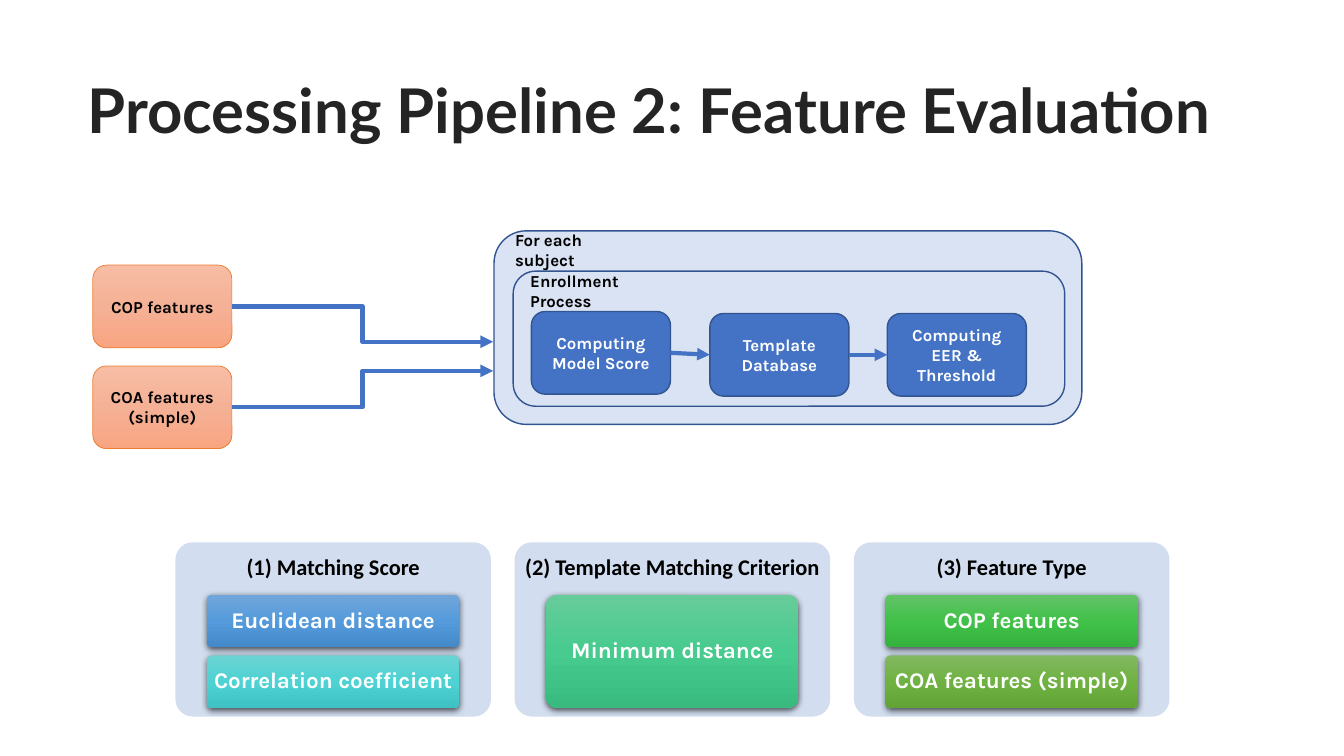
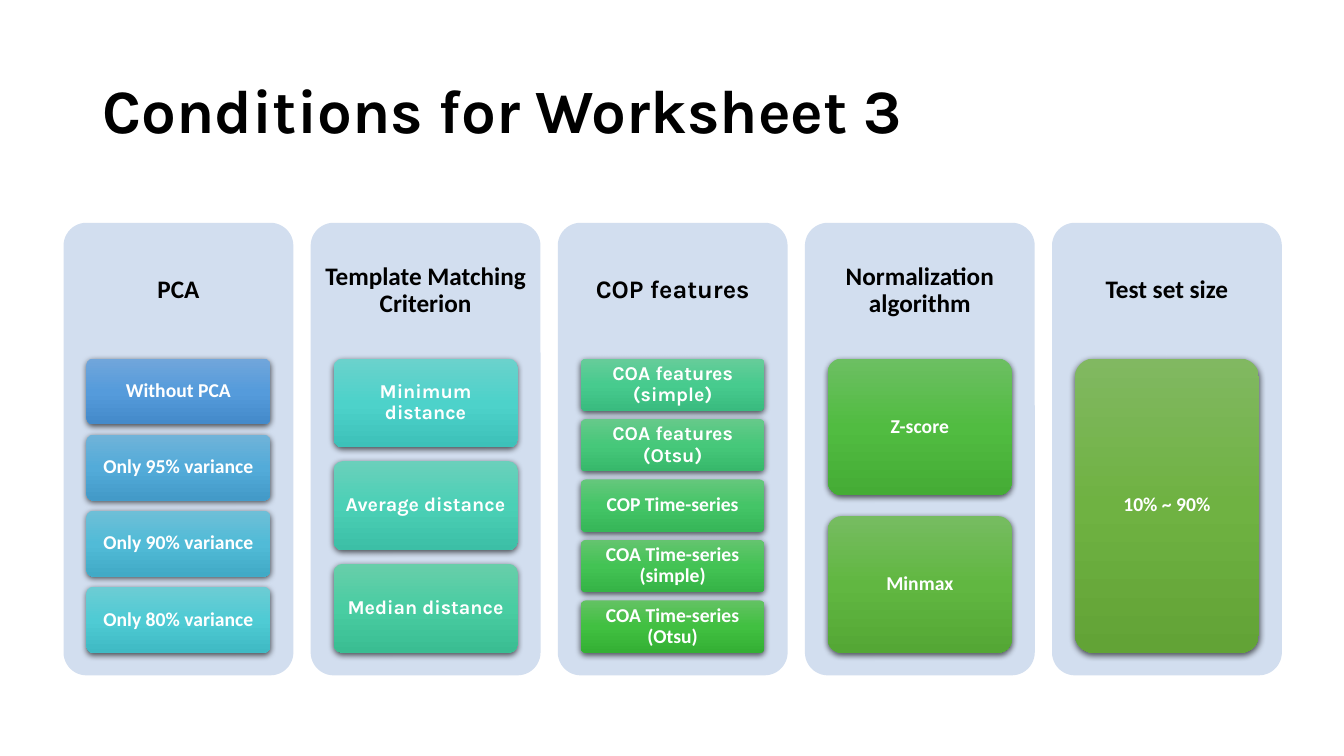
from lxml.etree import SubElement
from copy import deepcopy
from pptx import Presentation
from pptx.dml.color import RGBColor
from pptx.enum.shapes import MSO_CONNECTOR as CONNECTOR, MSO_SHAPE as SHAPE
from pptx.enum.text import MSO_ANCHOR as ANCHOR, PP_ALIGN as ALIGN
from pptx.oxml.ns import qn
from pptx.util import Inches, Pt

BLACK, WHITE = "000000", "FFFFFF"
BLUE, NAVY, PALE_BLUE, PANEL_BLUE = "4472C4", "325491", "DAE3F3", "D2DEEF"
ORANGE = "ED7D31"
PEACH_GRADIENT = ["F7BDA5", "F5B196", "F8A582"]
BLUE_GRADIENT = ["71A6DB", "559BDB", "448ACA"]
MINT_GRADIENT = ["67CC9A", "47CB8E", "39BB7F"]
OLIVE_GRADIENT = ["81B861", "6FB242", "62A336"]
KARLA, CALIBRI, LATO = "Karla", "Calibri", "Lato"


def add_box(slide, box, text="", fill=None, line=None, line_width=1, corner=None,
            shadow=False, font=KARLA, size=12, color=BLACK, align=ALIGN.CENTER,
            anchor=ANCHOR.MIDDLE, margins=(0.1, 0.05), spacing=1):
    """Add a rounded box, or a text box if there is no fill; a list of three colours is a gradient."""
    lengths = [Inches(value) for value in box]
    if fill is None:
        shape = slide.shapes.add_textbox(*lengths)
    else:
        shape = slide.shapes.add_shape(SHAPE.ROUNDED_RECTANGLE, *lengths)
        shape.shadow.inherit = False
        properties = shape.element.spPr
        if corner is not None:
            shape.adjustments[0] = corner
        if isinstance(fill, list):
            shape.fill.gradient()
            shape.fill.gradient_angle = 270
            stop_list = properties.find(".//" + qn("a:gsLst"))
            stop_list.insert(1, deepcopy(stop_list[0]))
            for stop, hex_color, position in zip(shape.fill.gradient_stops, fill, (0, 0.5, 1)):
                stop.color.rgb = RGBColor.from_string(hex_color)
                stop.position = position
        else:
            shape.fill.solid()
            shape.fill.fore_color.rgb = RGBColor.from_string(fill)
        if line:
            shape.line.color.rgb = RGBColor.from_string(line)
            shape.line.width = Pt(line_width)
        else:
            shape.line.fill.background()
        if shadow:
            outer = SubElement(properties.find(qn("a:effectLst")), qn("a:outerShdw"),
                               blurRad=str(Pt(4.5)), dist=str(Pt(1.5)), dir="5400000",
                               algn="ctr", rotWithShape="0")
            shade = SubElement(outer, qn("a:srgbClr"), val=BLACK)
            SubElement(shade, qn("a:alpha"), val="63000")
    if text:
        frame = shape.text_frame
        frame.word_wrap = True
        frame.vertical_anchor = anchor
        frame.margin_left = frame.margin_right = Inches(margins[0])
        frame.margin_top = frame.margin_bottom = Inches(margins[1])
        paragraph = frame.paragraphs[0]
        paragraph.alignment = align
        paragraph.line_spacing = spacing
        run = paragraph.add_run()
        run.text = text
        run.font.name, run.font.size, run.font.bold = font, Pt(size), True
        run.font.color.rgb = RGBColor.from_string(color)


def add_arrow(slide, kind, *ends):
    connector = slide.shapes.add_connector(kind, *[Inches(value) for value in ends])
    connector.line.color.rgb = RGBColor.from_string(BLUE)
    connector.line.width = Pt(3)
    SubElement(connector.line._get_or_add_ln(), qn("a:tailEnd"), type="triangle")
    SubElement(connector.element.spPr, qn("a:effectLst"))


presentation = Presentation()
presentation.slide_width = Inches(13.33)
presentation.slide_height = Inches(7.5)
blank = presentation.slide_layouts[6]
pipeline = presentation.slides.add_slide(blank)
conditions = presentation.slides.add_slide(blank)

# Titles
for slide, left, width, text, font, color in [
    (pipeline, 0.77, 12.06, "Processing Pipeline 2: Feature Evaluation", LATO, "242424"),
    (conditions, 0.92, 11.5, "Conditions for Worksheet 3", KARLA, BLACK),
]:
    add_box(slide, (left, 0.4, width, 1.45), text, font=font, size=44, color=color,
            align=ALIGN.LEFT, spacing=0.9)

# Pipeline: nested frames, features on the left, steps inside
for frame_box, label_box, label in [
    ((4.9, 2.29, 5.83, 1.92), (5.01, 2.23, 1.48, 0.3), "For each subject"),
    ((5.09, 2.69, 5.47, 1.34), (5.16, 2.64, 1.71, 0.3), "Enrollment Process"),
]:
    add_box(pipeline, frame_box, fill=PALE_BLUE, line=NAVY)
    add_box(pipeline, label_box, label, align=ALIGN.LEFT, anchor=ANCHOR.TOP)

node_width, node_height = 1.38, 0.82
for text, top, target in [("COP features", 2.63, 3.39), ("COA features (simple)", 3.63, 3.68)]:
    add_box(pipeline, (0.92, top, node_width, node_height), text,
            fill=PEACH_GRADIENT, line=ORANGE, line_width=0.5)
    add_arrow(pipeline, CONNECTOR.ELBOW, 0.92 + node_width, top + node_height / 2, 4.89, target)

steps = [
    ("Computing Model Score", 5.27, 3.09),
    ("Template Database", 7.04, 3.11),
    ("Computing EER & Threshold", 8.8, 3.11),
]
for text, left, top in steps:
    add_box(pipeline, (left, top, node_width, node_height), text,
            fill=BLUE, line=NAVY, color=WHITE)
for (_, left, top), (_, next_left, next_top) in zip(steps, steps[1:]):
    add_arrow(pipeline, CONNECTOR.STRAIGHT, left + node_width, top + node_height / 2,
              next_left, next_top + node_height / 2)

# Panels: (heading, heading font, tiles), each tile (text, font, gradient)
pipeline_panels = [
    ("(1) Matching Score", CALIBRI, [
        ("Euclidean distance", KARLA, BLUE_GRADIENT),
        ("Correlation coefficient", KARLA, ["6CD3D3", "4ED2D3", "3EC2C3"]),
    ]),
    ("(2) Template Matching Criterion", CALIBRI, [
        ("Minimum distance", KARLA, MINT_GRADIENT),
    ]),
    ("(3) Feature Type", CALIBRI, [
        ("COP features", KARLA, ["63C368", "42C14A", "34B23D"]),
        ("COA features (simple)", KARLA, OLIVE_GRADIENT),
    ]),
]
condition_panels = [
    ("PCA", CALIBRI, [
        ("Without PCA", CALIBRI, BLUE_GRADIENT),
        ("Only 95% variance", CALIBRI, ["70B3D9", "53ABD9", "439AC8"]),
        ("Only 90% variance", CALIBRI, ["6EBFD7", "51BBD7", "41AAC6"]),
        ("Only 80% variance", CALIBRI, ["6DCCD4", "4FCBD4", "3FBAC4"]),
    ]),
    ("Template Matching Criterion", CALIBRI, [
        ("Minimum distance", KARLA, ["6BD2CC", "4DD2CA", "3DC1B9"]),
        ("Average distance", KARLA, ["6AD0BB", "4BD0B6", "3CBFA6"]),
        ("Median distance", KARLA, ["68CEAA", "49CDA2", "3ABD92"]),
    ]),
    ("COP features", KARLA, [
        ("COA features (simple)", KARLA, MINT_GRADIENT),
        ("COA features (Otsu)", KARLA, ["66C98A", "46C87A", "37B86B"]),
        ("COP Time-series", CALIBRI, ["65C77C", "44C567", "36B658"]),
        ("COA Time-series (simple)", CALIBRI, ["64C46F", "43C354", "35B346"]),
        ("COA Time-series (Otsu)", CALIBRI, ["63C263", "41C041", "34B034"]),
    ]),
    ("Normalization algorithm", CALIBRI, [
        ("Z-score", CALIBRI, ["6CBF62", "51BC41", "45AC35"]),
        ("Minmax", CALIBRI, ["76BC61", "61B741", "54A735"]),
    ]),
    ("Test set size", CALIBRI, [
        ("10% ~ 90%", CALIBRI, OLIVE_GRADIENT),
    ]),
]

for slide, panels, first_left, top, width, height, heading_size, tile_size in [
    (pipeline, pipeline_panels, 1.74, 5.38, 3.13, 1.73, 16, 16),
    (conditions, condition_panels, 0.63, 2.21, 2.28, 4.49, 18, 14),
]:
    heading_height = 0.3 * height
    for column, (heading, heading_font, tiles) in enumerate(panels):
        left = first_left + column * width * 1.075
        add_box(slide, (left, top, width, height), fill=PANEL_BLUE, corner=0.1)
        add_box(slide, (left, top, width, heading_height), heading, font=heading_font,
                size=heading_size, margins=(0.07, 0.07), spacing=0.9)
        # Tiles fill 65% of the panel; each gap is 2/13 of a tile
        tile_height = 0.65 * height / (len(tiles) + (len(tiles) - 1) * 2 / 13)
        for row, (text, font, gradient) in enumerate(tiles):
            tile_top = top + heading_height + row * tile_height * 15 / 13
            add_box(slide, (left + 0.1 * width, tile_top, 0.8 * width, tile_height), text,
                    fill=gradient, corner=0.1, shadow=True, font=font, size=tile_size,
                    color=WHITE, margins=(0.04, 0.03), spacing=0.9)

presentation.save("out.pptx")
